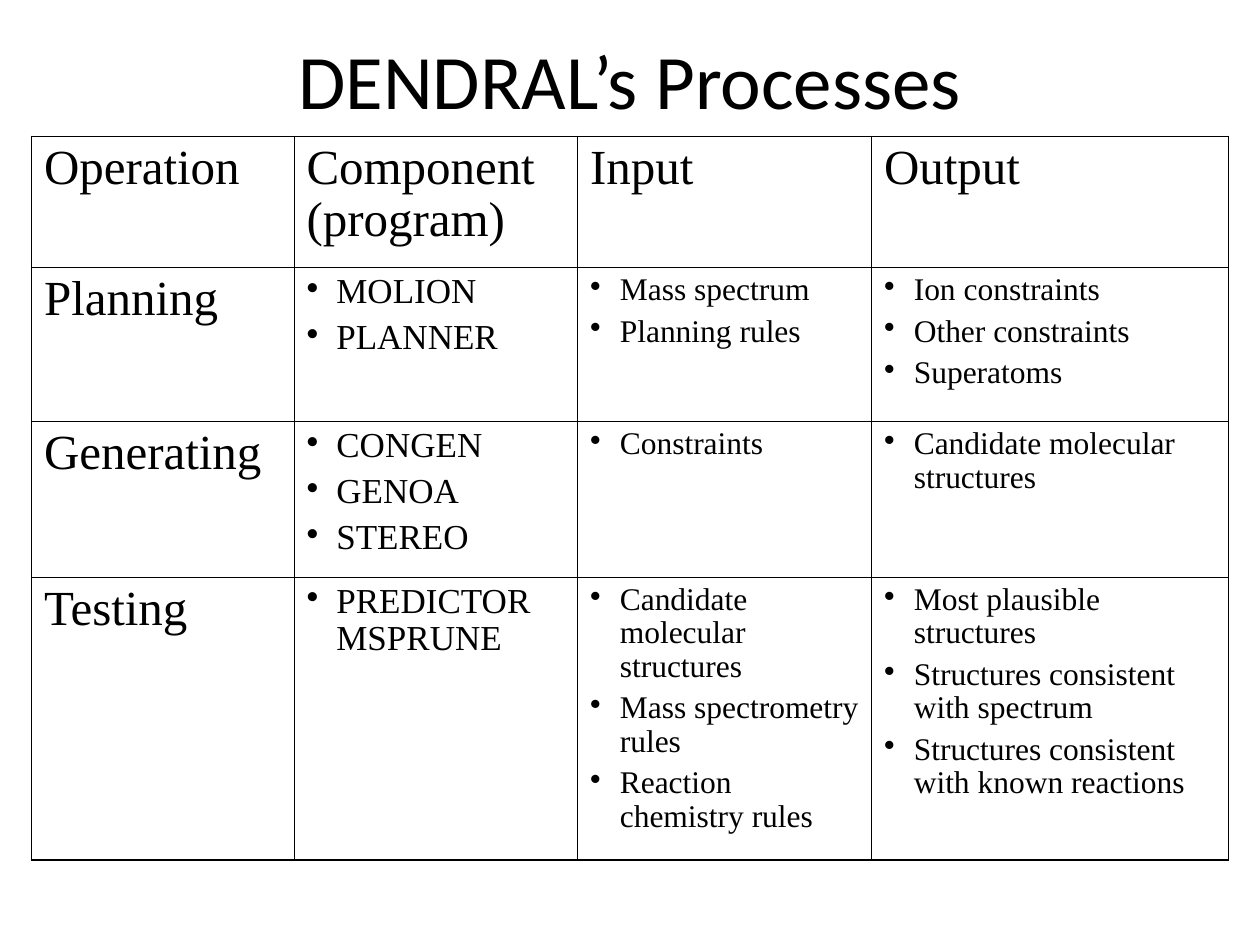
from lxml import etree
from pptx import Presentation
from pptx.dml.color import RGBColor
from pptx.enum import text
from pptx.oxml import ns
from pptx.util import Pt

BLACK = "000000"
SERIF = "Times New Roman"
COLUMN_WIDTHS = [150, 162, 168, 204]
ROW_HEIGHTS = [75, 88, 89, 146]
THIN, THICK = 0.45, 1.08
BULLET_SIZES = [28, 20, 18, 18]  # by column
HEADINGS = ["Operation", "Component (program)", "Input", "Output"]
PROCESSES = [
    ["Planning", ["MOLION", "PLANNER"],
     ["Mass spectrum", "Planning rules"],
     ["Ion constraints", "Other constraints", "Superatoms"]],
    ["Generating", ["CONGEN", "GENOA", "STEREO"],
     ["Constraints"],
     ["Candidate molecular structures"]],
    ["Testing", ["PREDICTOR MSPRUNE"],
     ["Candidate molecular structures", "Mass spectrometry rules",
      "Reaction chemistry rules"],
     ["Most plausible structures", "Structures consistent with spectrum",
      "Structures consistent with known reactions"]],
]


def color(value):
    return RGBColor.from_string(value)


def add_bullet(p, indent=17):
    pPr = p._p.get_or_add_pPr()
    pPr.set("marL", str(Pt(indent)))
    pPr.set("indent", str(-Pt(indent)))
    etree.SubElement(pPr, ns.qn("a:buChar")).set("char", "•")


def write(tf, lines, size, font, align=text.PP_ALIGN.LEFT, bullet=False,
          spacing=None, before=0):
    """Fill a text frame, one paragraph to each line."""
    tf.word_wrap = True
    for i, line in enumerate(lines):
        p = tf.add_paragraph() if i else tf.paragraphs[0]
        p.alignment = align
        if spacing:
            p.line_spacing = spacing
        if i:
            p.space_before = Pt(before)
        if bullet:
            add_bullet(p)
        r = p.add_run()
        r.text = line
        r.font.name, r.font.size = font, Pt(size)
        r.font.color.rgb = color(BLACK)


def set_borders(cell, widths):
    """Draw the cell's edges; widths go left, right, top, bottom."""
    tcPr = cell._tc.get_or_add_tcPr()
    for i, (edge, width) in enumerate(zip(("lnL", "lnR", "lnT", "lnB"), widths)):
        ln = etree.Element(ns.qn(f"a:{edge}"), w=str(Pt(width)))
        fill = etree.SubElement(ln, ns.qn("a:solidFill"))
        etree.SubElement(fill, ns.qn("a:srgbClr")).set("val", BLACK)
        tcPr.insert(i, ln)


def add_title(s, left, top, width, height):
    tf = s.shapes.add_textbox(Pt(left), Pt(top), Pt(width), Pt(height)).text_frame
    tf.vertical_anchor = text.MSO_ANCHOR.MIDDLE
    write(tf, ["DENDRAL’s Processes"], 44, "Calibri", text.PP_ALIGN.CENTER)


def add_process_table(s, left, top, width, height):
    rows = [HEADINGS] + PROCESSES
    last_row, last_col = len(rows) - 1, len(HEADINGS) - 1
    table = s.shapes.add_table(len(rows), len(HEADINGS), Pt(left), Pt(top),
                               Pt(width), Pt(height)).table
    table.first_row = table.horz_banding = False
    for column, w in zip(table.columns, COLUMN_WIDTHS):
        column.width = Pt(w)
    for row, h in zip(table.rows, ROW_HEIGHTS):
        row.height = Pt(h)
    for i, row in enumerate(rows):
        for j, content in enumerate(row):
            cell = table.cell(i, j)
            cell.fill.background()
            bullet = isinstance(content, list)
            size = BULLET_SIZES[j] if bullet else 28
            write(cell.text_frame, content if bullet else [content], size, SERIF,
                  bullet=bullet, spacing=0.96, before=size / 4)
            outer = (j == 0, j == last_col, i == 0, i == last_row)
            set_borders(cell, [THICK if edge else THIN for edge in outer])


def main():
    prs = Presentation()
    prs.slide_width, prs.slide_height = Pt(720), Pt(540)
    s = prs.slides.add_slide(prs.slide_layouts[6])
    add_title(s, 36, 0, 648, 90)
    add_process_table(s, 18, 78, sum(COLUMN_WIDTHS), sum(ROW_HEIGHTS))
    prs.save("out.pptx")


if __name__ == "__main__":
    main()
